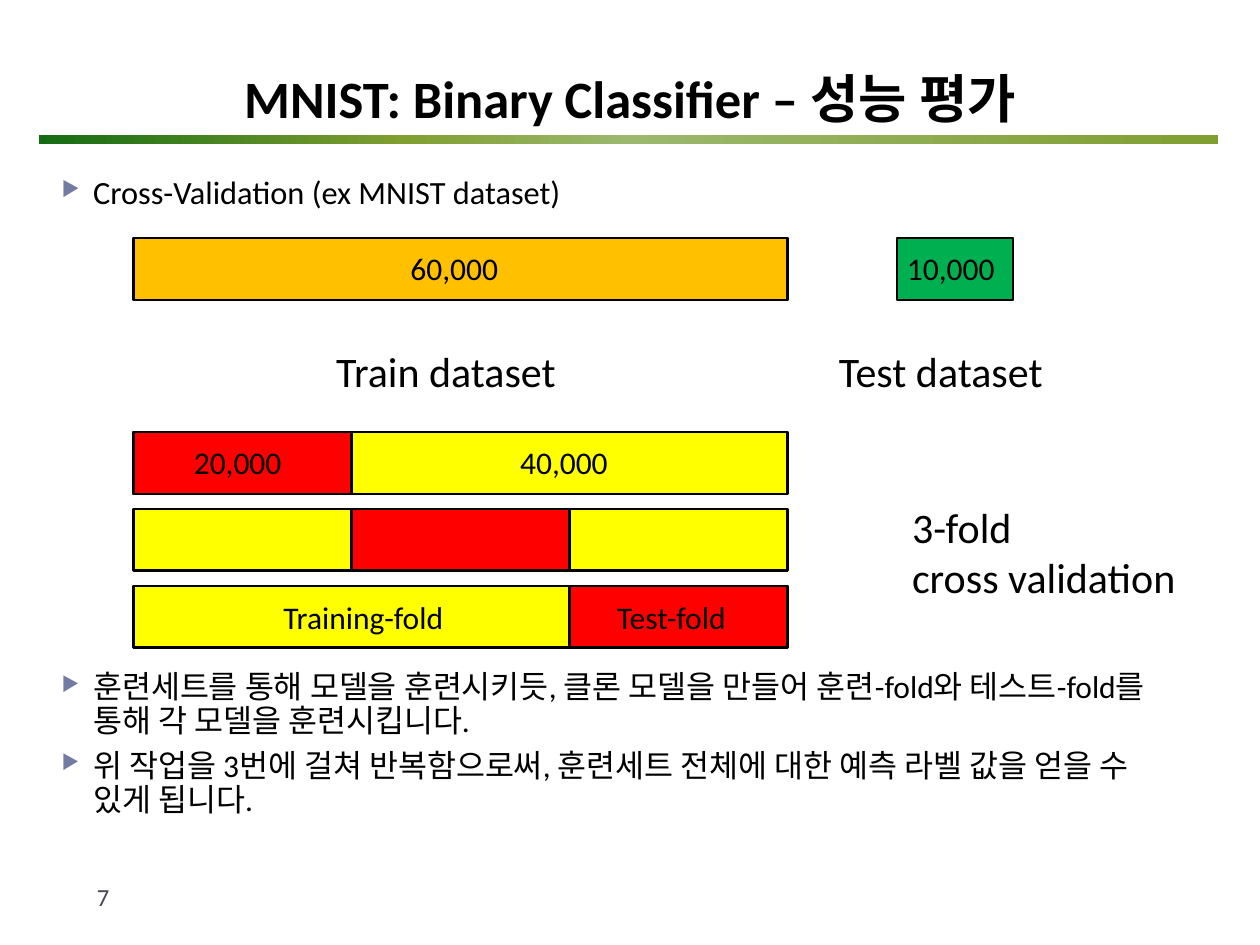
import copy
import pptx
import pptx.util
import pptx.dml.color
import pptx.enum.shapes
import pptx.enum.text
import pptx.oxml.ns
from lxml import etree

Inches = pptx.util.Inches
Pt = pptx.util.Pt
RGBColor = pptx.dml.color.RGBColor
Align = pptx.enum.text.PP_ALIGN
Anchor = pptx.enum.text.MSO_ANCHOR
qn = pptx.oxml.ns.qn

BLACK = RGBColor(0, 0, 0)
SLATE = RGBColor(0x46, 0x46, 0x53)
MARK = RGBColor(0x72, 0x7C, 0xA3)
RED = RGBColor(0xFF, 0, 0)
YELLOW = RGBColor(0xFF, 0xFF, 0)
ORANGE = RGBColor(0xFF, 0xC0, 0)
GREEN = RGBColor(0, 0xB0, 0x50)
OLIVE = RGBColor(0x80, 0x9F, 0x31)
SAGE = RGBColor(0x9C, 0xB8, 0x6E)
FOREST = RGBColor(0x15, 0x6B, 0x13)

FONT = "Calibri"
TITLE = "MNIST: Binary Classifier – 성능 평가"
STOPS = [(0, OLIVE), (0.5, SAGE), (0.69, OLIVE), (1, FOREST)]
BODY = [
    (1.35, 0.45, 18.5, ["Cross-Validation (ex MNIST dataset)"]),
    (5.28, 1.4, 18, [
        "훈련세트를 통해 모델을 훈련시키듯, 클론 모델을 만들어 훈련-fold와 테스트-fold를 통해 각 모델을 훈련시킵니다.",
        "위 작업을 3번에 걸쳐 반복함으로써, 훈련세트 전체에 대한 예측 라벨 값을 얻을 수 있게 됩니다.",
    ]),
]
LABELS = [
    (2.57, 2.69, 1.96, 24, ["Train dataset"]),
    (6.56, 2.69, 1.84, 24, ["Test dataset"]),
    (7.14, 3.93, 2.56, 24, ["3-fold", "cross validation"]),
    (3.16, 1.93, 0.9, 18, ["60,000"]),
    (7.1, 1.93, 0.9, 18, ["10,000"]),
    (1.44, 3.47, 0.9, 18, ["20,000"]),
    (4.03, 3.47, 0.9, 18, ["40,000"]),
    (2.15, 4.7, 1.49, 18, ["Training-fold"]),
    (4.8, 4.7, 1.08, 18, ["Test-fold"]),
]
LEFT, CELL, HIGH, FOLDS = 1.06, 1.73, 0.49, 3
TRAIN, FIRST, STEP = 1.89, 3.43, 0.61

deck = pptx.Presentation()
deck.slide_width, deck.slide_height = Inches(10), Inches(7.5)
slide = deck.slides.add_slide(deck.slide_layouts[6])


def add_bar(left, top, width, high, fill=None, line=None):
    bar = slide.shapes.add_shape(
        pptx.enum.shapes.MSO_SHAPE.RECTANGLE,
        Inches(left), Inches(top), Inches(width), Inches(high))
    bar.shadow.inherit = False
    if fill is None:
        bar.fill.background()
    else:
        bar.fill.solid()
        bar.fill.fore_color.rgb = fill
    if line is None:
        bar.line.fill.background()
    else:
        bar.line.color.rgb = line
        bar.line.width = Pt(1.5)
    return bar


def add_mark(para):
    props = para._p.get_or_add_pPr()
    props.set("marL", str(Inches(0.25)))
    props.set("indent", str(-Inches(0.25)))
    tint = etree.SubElement(props, qn("a:buClr"))
    etree.SubElement(tint, qn("a:srgbClr"), val=str(MARK))
    etree.SubElement(props, qn("a:buSzPct"), val="64000")
    etree.SubElement(props, qn("a:buChar"), char="▶")


def add_text(left, top, width, high, size, lines, color=BLACK, bold=False,
             wrap=True, marks=False, align=Align.LEFT, anchor=Anchor.TOP):
    box = slide.shapes.add_textbox(
        Inches(left), Inches(top), Inches(width), Inches(high))
    frame = box.text_frame
    frame.word_wrap = wrap
    frame.vertical_anchor = anchor
    for i, line in enumerate(lines):
        para = frame.add_paragraph() if i else frame.paragraphs[0]
        para.alignment = align
        if marks:
            para.line_spacing = 0.9
            para.space_before = Pt(6 if i else 0)
            add_mark(para)
        run = para.add_run()
        run.text = line
        font = run.font
        font.name, font.size, font.bold = FONT, Pt(size), bold
        font.color.rgb = color


def add_rule():
    rule = add_bar(0.31, 1.07, 9.36, 0.07)
    rule.fill.gradient()
    stops = rule.fill.gradient_stops
    group = rule._element.spPr.find(".//" + qn("a:gsLst"))
    while len(group) < len(STOPS):
        group.append(copy.deepcopy(group[0]))
    for stop, (place, color) in zip(stops, STOPS):
        stop.position = place
        stop.color.rgb = color
    rule.fill.gradient_angle = 180


def add_row(top, color, test=None):
    for i in range(FOLDS):
        if i != test:
            add_bar(LEFT + i * CELL, top, CELL, HIGH, color, color)
    add_bar(LEFT, top, FOLDS * CELL, HIGH, line=BLACK)
    if test is not None:
        add_bar(LEFT + test * CELL, top, CELL, HIGH, RED, BLACK)


add_rule()
add_text(0, 0, 10, 1.07, 30, [TITLE], bold=True,
         align=Align.CENTER, anchor=Anchor.BOTTOM)
add_text(0.67, 6.95, 2.17, 0.4, 14, ["7"], SLATE)
for top, high, size, lines in BODY:
    add_text(0.39, top, 9.02, high, size, lines, marks=True)

add_row(TRAIN, ORANGE)
add_bar(7.14, TRAIN, 0.9, HIGH, GREEN, GREEN)
add_bar(7.12, TRAIN, 0.92, HIGH, line=BLACK)
for fold in range(FOLDS):
    add_row(FIRST + fold * STEP, YELLOW, fold)

for left, top, width, size, lines in LABELS:
    high = 0.1 + len(lines) * size / 60
    add_text(left, top, width, high, size, lines, wrap=False)

deck.save("out.pptx")
